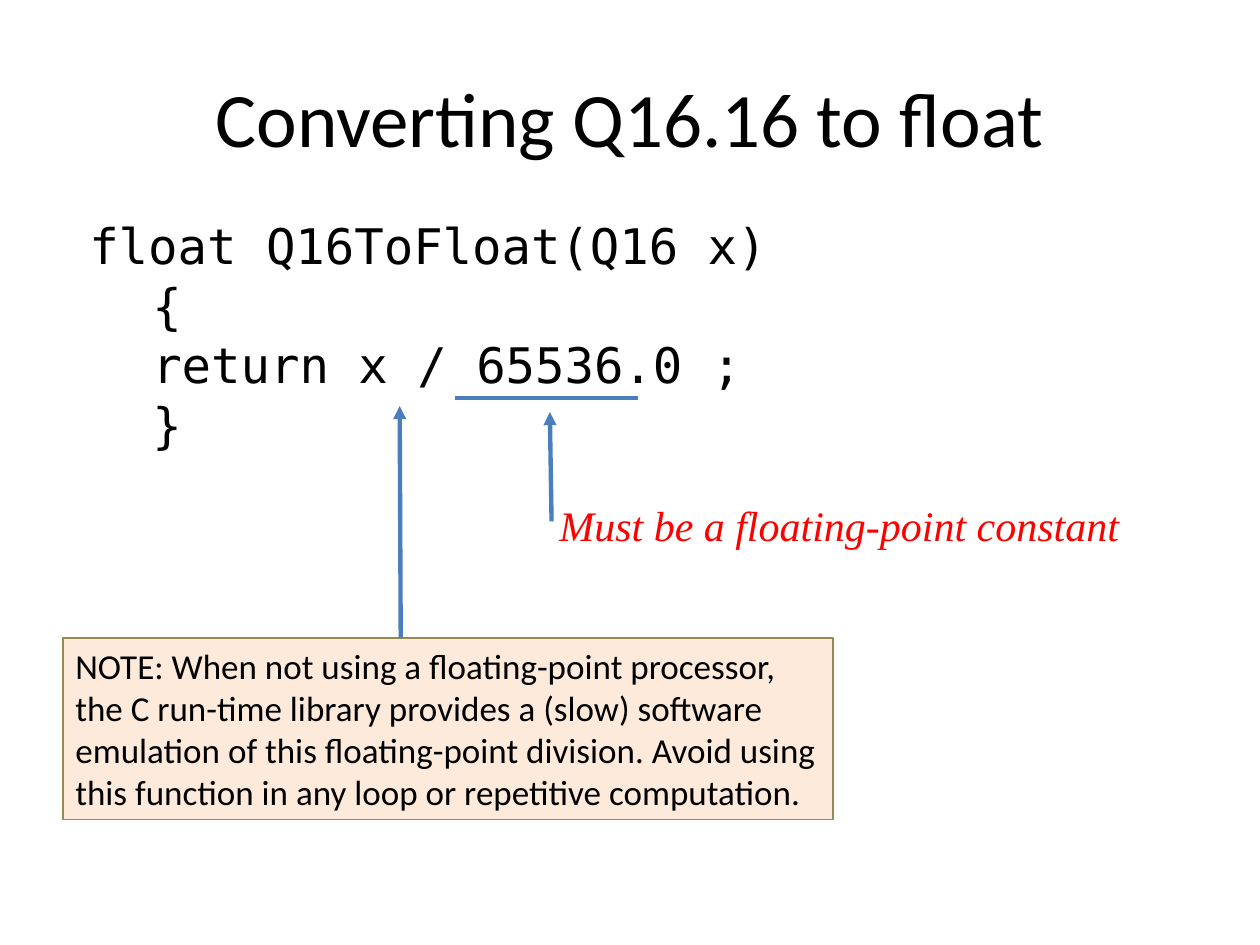
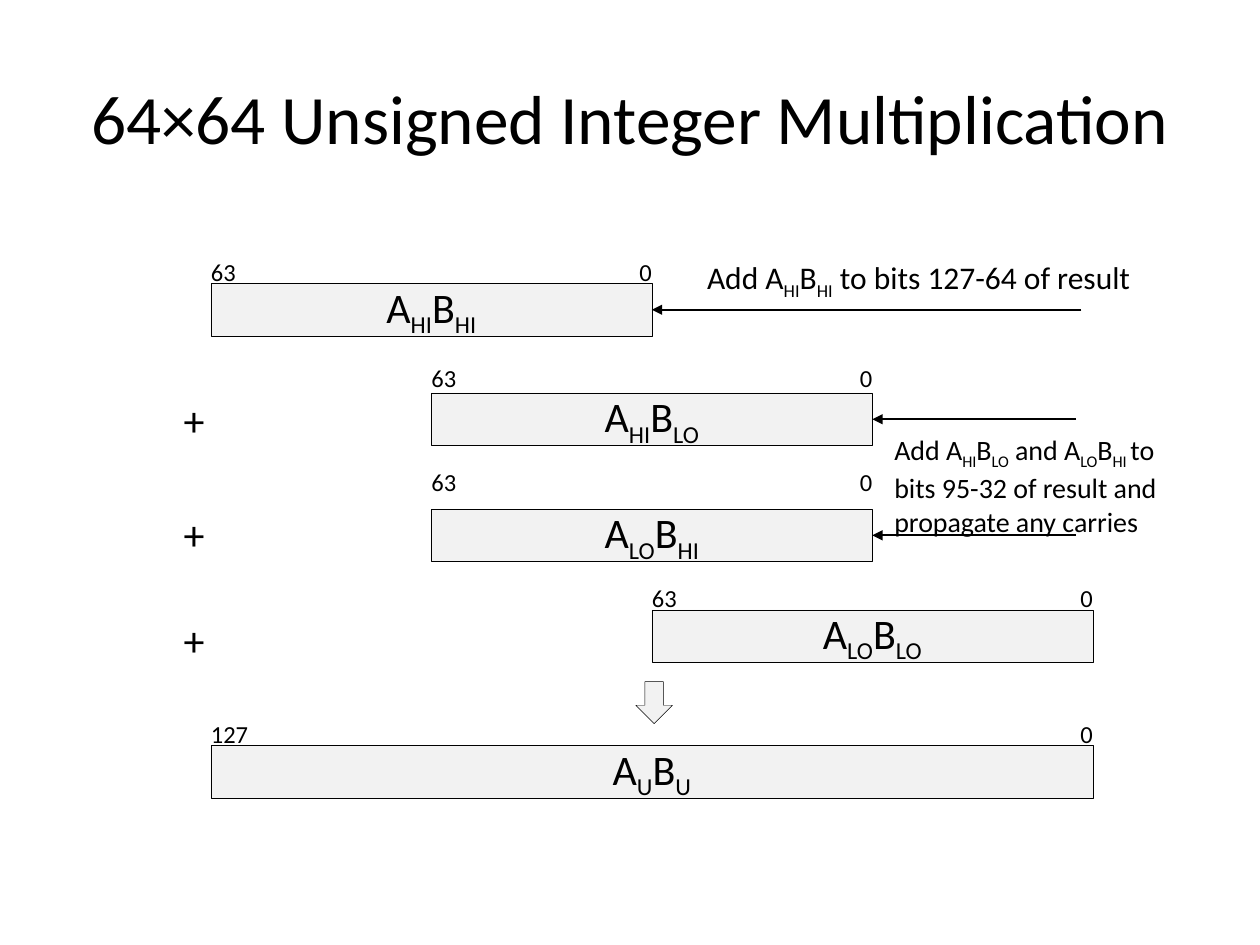
from lxml import etree
from pptx import Presentation, util as u
from pptx.dml.color import RGBColor
from pptx.enum import shapes, text
from pptx.oxml import ns

BLACK = RGBColor(0x00, 0x00, 0x00)
RED = RGBColor(0xFF, 0x00, 0x00)
WHITE = RGBColor(0xFF, 0xFF, 0xFF)
BLUE = RGBColor(0x4B, 0x7E, 0xBC)
PEACH = RGBColor(0xFD, 0xEA, 0xDA)
OLIVE = RGBColor(0x94, 0x8A, 0x54)
PALE_GREY = RGBColor(0xF2, 0xF2, 0xF2)

BODY_FONT = "Calibri"
CODE_FONT = "DejaVu Sans Mono"
REMARK_FONT = "Times New Roman"

LEFT, CENTER, RIGHT = text.PP_ALIGN.LEFT, text.PP_ALIGN.CENTER, text.PP_ALIGN.RIGHT
TOP, MIDDLE = text.MSO_ANCHOR.TOP, text.MSO_ANCHOR.MIDDLE
RIGHT_SIDE = 3

TITLE_BOX = (36, 21.6, 648, 90)
BAR_HEIGHT = 30
HALF_BAR = 126


def place(box):
    """Turn a box in points into lengths."""
    return [u.Pt(value) for value in box]


def write(paragraph, parts, size, align=LEFT, font=BODY_FONT, color=BLACK, italic=False):
    """Add one run per part; every second part is a subscript."""
    paragraph.alignment = align
    for index, part in enumerate(parts):
        run = paragraph.add_run()
        run.text = part
        run.font.size = u.Pt(size)
        run.font.name = font
        run.font.color.rgb = color
        run.font.italic = italic
        if index % 2:
            run._r.get_or_add_rPr().set("baseline", "-25000")


def add_text(slide, box, parts, size, inset=7.2, **style):
    """Add a wrapping text box with one paragraph."""
    frame = slide.shapes.add_textbox(*place(box)).text_frame
    frame.word_wrap = True
    frame.margin_left = frame.margin_right = u.Pt(inset)
    write(frame.paragraphs[0], parts, size, **style)


def add_block(slide, box, fill, outline, line_width, kind=shapes.MSO_SHAPE.RECTANGLE):
    """Add a flat filled preset shape."""
    block = slide.shapes.add_shape(kind, *place(box))
    block.shadow.inherit = False
    block.fill.solid()
    block.fill.fore_color.rgb = fill
    block.line.color.rgb = outline
    block.line.width = u.Pt(line_width)
    return block


def add_line(slide, start, end, color, width, arrow=True):
    """Add a flat straight line, by default with an arrowhead at its end."""
    line = slide.shapes.add_connector(shapes.MSO_CONNECTOR.STRAIGHT, *place(start + end))
    line.line.color.rgb = color
    line.line.width = u.Pt(width)
    if arrow:
        etree.SubElement(line.line._get_or_add_ln(), ns.qn("a:tailEnd"), type="triangle")
    etree.SubElement(line._element.spPr, ns.qn("a:effectLst"))
    return line


def add_titled_slide(deck, title, size):
    """Add a title-only slide with the shared title style."""
    slide = deck.slides.add_slide(deck.slide_layouts[5])
    slide.background.fill.solid()
    slide.background.fill.fore_color.rgb = WHITE
    heading = slide.shapes.title
    heading.left, heading.top, heading.width, heading.height = place(TITLE_BOX)
    heading.text_frame.vertical_anchor = MIDDLE
    write(heading.text_frame.paragraphs[0], [title], size, CENTER)
    return slide


def code_listing(slide, box, lines):
    """Set the code, with every line after the first indented."""
    frame = slide.shapes.add_textbox(*place(box)).text_frame
    frame.word_wrap = True
    for index, code in enumerate(lines):
        paragraph = frame.add_paragraph() if index else frame.paragraphs[0]
        paragraph.line_spacing = u.Pt(34)
        if index:
            paragraph._p.get_or_add_pPr().set("marL", str(u.Pt(36)))
        write(paragraph, [code], 28, font=CODE_FONT)


def constant_remark(slide, box):
    """Underline the constant and point the red remark at it."""
    left, top, width, height = box
    add_line(slide, (left, top), (left + 104.5, top), BLUE, 2.25, arrow=False)
    add_line(slide, (left + 55.2, top + 70.5), (left + 54.2, top + 8), BLUE, 2.5)
    remark = (left + 52.5, top + 54.5, width - 52.5, height - 54.5)
    add_text(slide, remark, ["Must be a floating-point constant"], 24,
             font=REMARK_FONT, color=RED, italic=True)


def division_note(slide, box):
    """Add the note and its arrow up to the division."""
    left, top, _, _ = box
    note = add_block(slide, box, PEACH, OLIVE, 0.75)
    frame = note.text_frame
    frame.word_wrap = True
    frame.vertical_anchor = TOP
    write(frame.paragraphs[0], [
        "NOTE: When not using a floating-point processor, the C run-time library "
        "provides a (slow) software emulation of this floating-point division. "
        "Avoid using this function in any loop or repetitive computation."], 20)
    add_line(slide, (left + 193, top), (left + 192.4, top - 132.5), BLUE, 2.5)


def product_bar(slide, box, product, high_bit, label_rise):
    """Add a product's bar with its bit numbers above both ends."""
    left, top, width, _ = box
    bar = add_block(slide, box, PALE_GREY, BLACK, 0.25)
    bar.text_frame.vertical_anchor = MIDDLE
    write(bar.text_frame.paragraphs[0], product, 24, CENTER)
    for bit, label_left, align in ((high_bit, left, LEFT), ("0", left + width - 30, RIGHT)):
        label = (label_left, top - label_rise, 30, 24.5)
        add_text(slide, label, [bit], 14, inset=0, align=align)
    return bar


def add_arrow_to_bar(slide, bar, tail_x):
    """Point an arrow at the middle of a bar's right side."""
    middle = (bar.top + bar.height / 2) / u.Pt(1)
    arrow = add_line(slide, (tail_x, middle), ((bar.left + bar.width) / u.Pt(1), middle),
                     BLACK, 1)
    arrow.end_connect(bar, RIGHT_SIDE)


def partial_products(slide, box):
    """Stack the shifted partial products, with plus signs and arrows."""
    left, top, _, _ = box
    rows = (
        (0, 0, 18.7, ["A", "HI", "B", "HI"], None, 618),
        (1, 62.6, 20.9, ["A", "HI", "B", "LO"], 59.8, 615),
        (1, 128.9, 27.4, ["A", "LO", "B", "HI"], 125.3, 615),
        (2, 186.5, 18.7, ["A", "LO", "B", "LO"], 185.8, None),
    )
    for shift, drop, label_rise, product, plus_drop, tail_x in rows:
        bar_box = (left + shift * HALF_BAR, top + drop, 2 * HALF_BAR, BAR_HEIGHT)
        bar = product_bar(slide, bar_box, product, "63", label_rise)
        if plus_drop:
            add_text(slide, (left - 30.5, top + plus_drop, 42, 36), ["+"], 24, align=CENTER)
        if tail_x:
            add_arrow_to_bar(slide, bar, tail_x)


def result_bar(slide, box):
    """Add the full-width product below a down arrow."""
    left, top, width, _ = box
    arrow_box = (left + width / 2 - 9.2, top - 36.5, 21, 24)
    add_block(slide, arrow_box, PALE_GREY, BLACK, 0.25, shapes.MSO_SHAPE.DOWN_ARROW)
    product_bar(slide, box, ["A", "U", "B", "U"], "127", 18.7)


def float_slide(deck):
    """Build the conversion slide."""
    slide = add_titled_slide(deck, "Converting Q16.16 to float", 44)
    code_listing(slide, (44, 119.5, 540, 143.3),
                 ["float Q16ToFloat(Q16 x)", "{", "return x / 65536.0 ;", "}"])
    constant_remark(slide, (260, 227.5, 438.5, 90.5))
    division_note(slide, (36, 364.5, 440, 104))


def multiplication_slide(deck):
    """Build the multiplication slide."""
    slide = add_titled_slide(deck, "64×64 Unsigned Integer Multiplication", 39.6)
    partial_products(slide, (120.5, 162, 4 * HALF_BAR, 216.5))
    result_bar(slide, (120.5, 426, 4 * HALF_BAR, BAR_HEIGHT))
    add_text(slide, (372, 144, 306, 29),
             ["Add A", "HI", "B", "HI", " to bits 127-64 of result"], 18, align=CENTER)
    add_text(slide, (504, 243.5, 174, 65.5),
             ["Add A", "HI", "B", "LO", " and A", "LO", "B", "HI ",
              "to bits 95-32 of result and propagate any carries"], 16)


def main():
    """Build and save the deck."""
    deck = Presentation()
    deck.slide_width, deck.slide_height = u.Pt(720), u.Pt(540)
    float_slide(deck)
    multiplication_slide(deck)
    deck.save("out.pptx")


if __name__ == "__main__":
    main()
